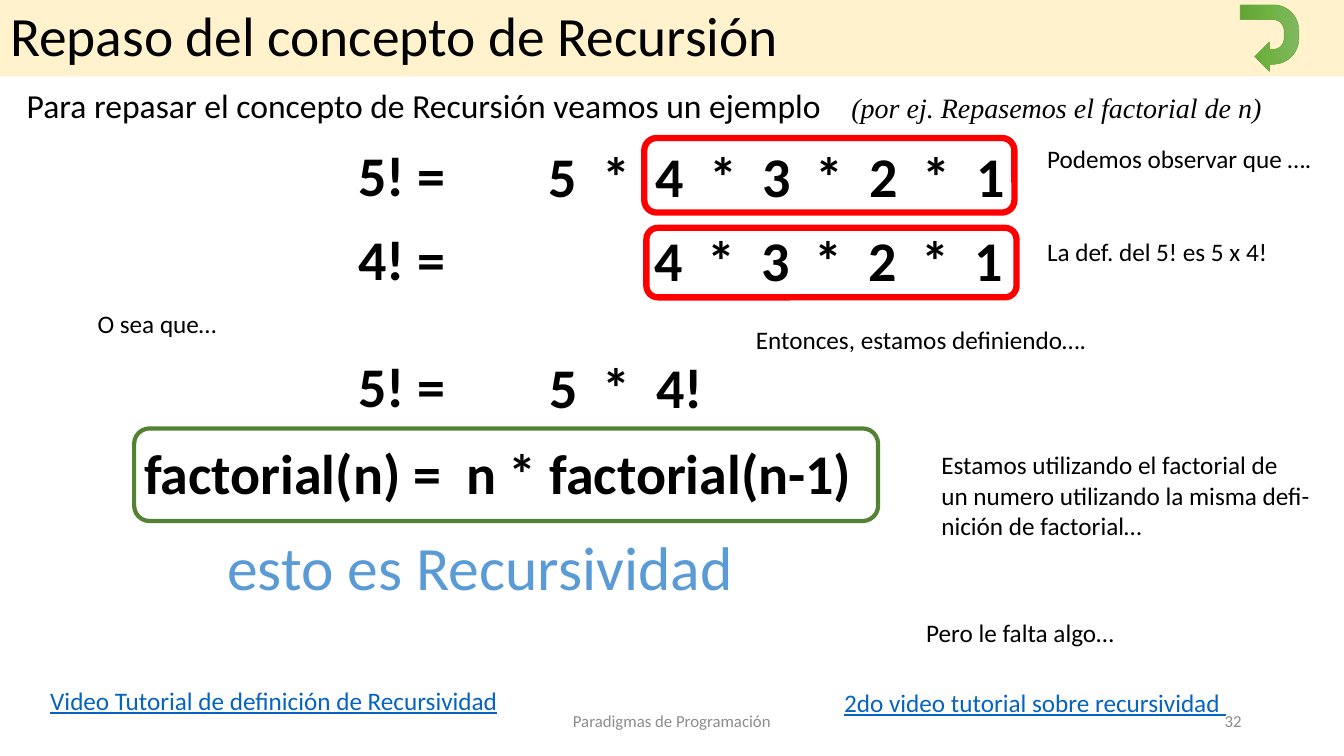
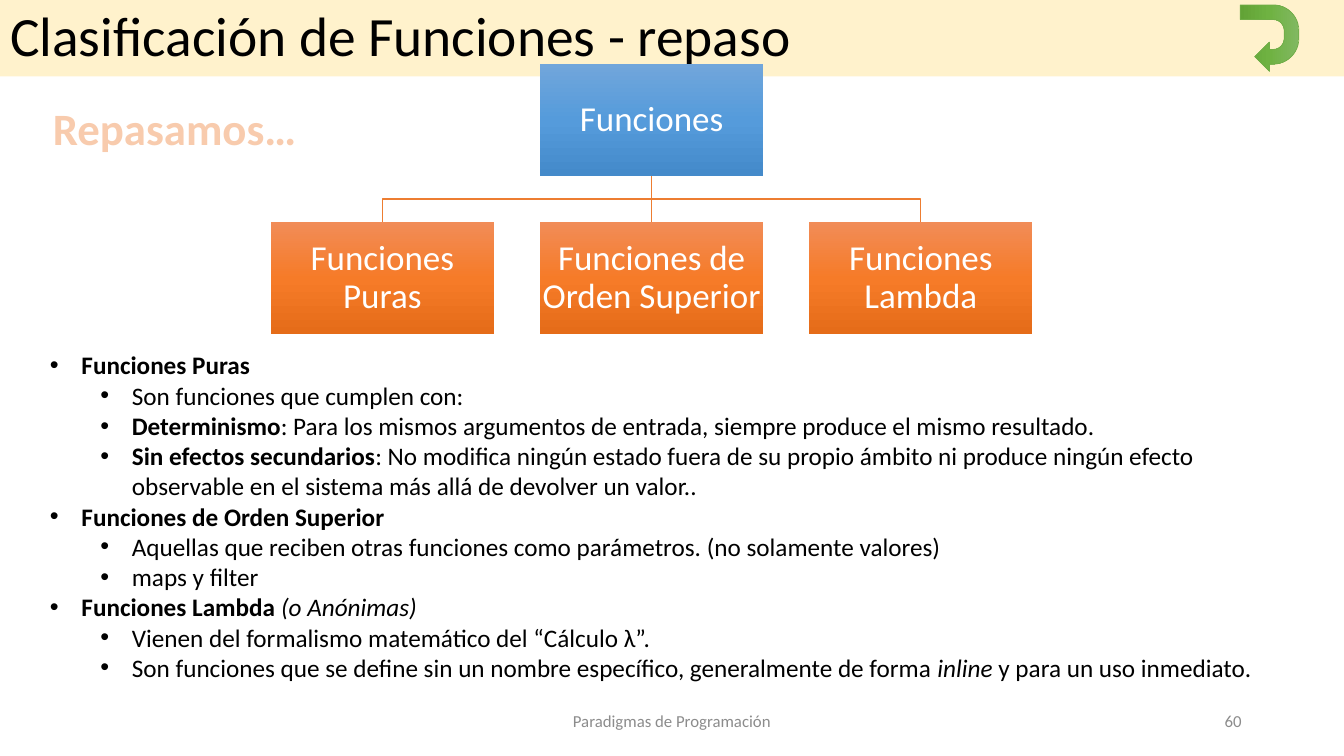
import copy
import dataclasses
import typing

import pptx
import pptx.dml.color
import pptx.enum.shapes
import pptx.enum.text
import pptx.oxml.ns
import pptx.slide
import pptx.util
from lxml import etree

Pt = pptx.util.Pt
qn = pptx.oxml.ns.qn
Form = pptx.enum.shapes.MSO_SHAPE
Side = pptx.enum.text.PP_ALIGN
Hold = pptx.enum.text.MSO_ANCHOR
Fit = pptx.enum.text.MSO_AUTO_SIZE

Run = tuple[str, dict[str, typing.Any]]
Box = tuple[float, float, float, float]

FACE = "Calibri"
BLACK, WHITE, GRAY = "000000", "FFFFFF", "8C8C8C"
CREAM, RED, MOSS, LINK = "FFF2CC", "FF0000", "548235", "0563C1"
SKY, PEACH, RUST, LEAF = "5B9BD5", "F8CBAD", "ED7D31", "70AD47"
BLUES = ("71A6DB", "559BDB", "448ACA")
WARMS = ("F18C57", "F67B28", "E56C19")
GREENS = ("81B861", "6FB242", "62A336")
BOLD = {"bold": True}
SLANT = {"italic": True}
NODE_W, NODE_H, STEP = 159.4, 79.6, 192.3
LEFT, TOP, LOW = 193.4, 46.1, 158.9


@dataclasses.dataclass
class Note:
    x: float
    y: float
    wide: float
    high: float
    lines: list[str]
    size: float = 18
    hue: str = BLACK
    font: dict[str, typing.Any] = dataclasses.field(default_factory=dict)
    side: int = Side.LEFT
    hold: int = Hold.TOP
    tab: float = 0


@dataclasses.dataclass
class Frame:
    box: Box
    hue: str
    width: float


@dataclasses.dataclass
class Node:
    text: str
    x: float
    y: float
    hues: tuple[str, str, str]


@dataclasses.dataclass
class Point:
    level: int
    runs: list[Run]


def put(item: typing.Any, vals: dict[str, typing.Any]) -> None:
    for key, val in vals.items():
        setattr(item, key, val)


def tint(code: str) -> pptx.dml.color.RGBColor:
    return pptx.dml.color.RGBColor.from_string(code)


def spot(box: Box) -> list[pptx.util.Length]:
    return [Pt(v) for v in box]


def place(item: typing.Any, box: Box) -> None:
    put(item, dict(zip(("left", "top", "width", "height"), spot(box))))


def write(para: typing.Any, runs: list[Run], size: float, hue: str) -> None:
    for text, style in runs:
        run = para.add_run()
        run.text = text
        put(run.font, {"name": FACE, "size": Pt(size), **style})
        run.font.color.rgb = tint(hue)


def stops(para: typing.Any, step: float, count: int) -> None:
    tabs = etree.SubElement(para._p.get_or_add_pPr(), qn("a:tabLst"))
    for k in range(1, count + 1):
        etree.SubElement(tabs, qn("a:tab"), pos=str(Pt(step * k)), algn="l")


def blend(shape: typing.Any, hues: tuple[str, str, str]) -> None:
    shape.fill.gradient()
    shape.fill.gradient_angle = 270
    marks = shape.element.spPr.find(".//" + qn("a:gsLst"))
    marks.insert(1, copy.deepcopy(marks[0]))
    for k, mark in enumerate(shape.fill.gradient_stops):
        mark.position = k / 2
        mark.color.rgb = tint(hues[k])


def form(page: pptx.slide.Slide, kind: int, box: Box) -> typing.Any:
    shape = page.shapes.add_shape(kind, *spot(box))
    shape.shadow.inherit = False
    return shape


def stroke(shape: typing.Any, hue: str, width: float) -> None:
    shape.line.color.rgb = tint(hue)
    shape.line.width = Pt(width)


def label(page: pptx.slide.Slide, note: Note) -> None:
    box = (note.x, note.y, note.wide, note.high)
    frame = page.shapes.add_textbox(*spot(box)).text_frame
    put(frame, {"word_wrap": True, "vertical_anchor": note.hold})
    for k, line in enumerate(note.lines):
        para = frame.add_paragraph() if k else frame.paragraphs[0]
        para.alignment = note.side
        if note.tab:
            stops(para, note.tab, line.count("\t"))
        write(para, [(line, note.font)], note.size, note.hue)


def ring(page: pptx.slide.Slide, frame: Frame) -> None:
    shape = form(page, Form.ROUNDED_RECTANGLE, frame.box)
    shape.fill.background()
    stroke(shape, frame.hue, frame.width)


def node(page: pptx.slide.Slide, item: Node) -> None:
    shape = form(page, Form.RECTANGLE, (item.x, item.y, NODE_W, NODE_H))
    blend(shape, item.hues)
    shape.line.fill.background()
    pad = Pt(1.4)
    frame = shape.text_frame
    put(frame, {"word_wrap": True, "vertical_anchor": Hold.MIDDLE,
                "margin_left": pad, "margin_right": pad,
                "margin_top": pad, "margin_bottom": pad})
    para = frame.paragraphs[0]
    put(para, {"alignment": Side.CENTER, "line_spacing": 0.9})
    write(para, [(item.text, {})], 25, WHITE)


def stem(page: pptx.slide.Slide, ends: Box) -> None:
    kind = pptx.enum.shapes.MSO_CONNECTOR.STRAIGHT
    line = page.shapes.add_connector(kind, *spot(ends))
    stroke(line, RUST, 1)
    etree.SubElement(line._element.spPr, qn("a:effectLst"))


def elbow(page: pptx.slide.Slide, ends: Box) -> None:
    x, y, far, low = spot(ends)
    bend = (y + low) // 2
    pen = page.shapes.build_freeform(x, y)
    pen.add_line_segments([(x, bend), (far, bend), (far, low)], close=False)
    shape = pen.convert_to_shape()
    shape.shadow.inherit = False
    shape.fill.background()
    stroke(shape, RUST, 1)


def bullets(page: pptx.slide.Slide, box: Box, points: list[Point]) -> None:
    body = page.placeholders[1]
    place(body, box)
    frame = body.text_frame
    put(frame, {"auto_size": Fit.NONE, "vertical_anchor": Hold.TOP})
    for k, point in enumerate(points):
        para = frame.add_paragraph() if k else frame.paragraphs[0]
        put(para, {"level": point.level, "line_spacing": 1.0,
                   "space_before": Pt(0), "alignment": Side.LEFT})
        props = para._p.get_or_add_pPr()
        props.set("marL", str(Pt(22.5 + 36 * point.level)))
        props.set("indent", str(Pt(-22.5)))
        etree.SubElement(props, qn("a:buChar"), char="•")
        write(para, point.runs, 18, BLACK)


def start(deck: typing.Any, lay: int, head: str, num: str) -> pptx.slide.Slide:
    page = deck.slides.add_slide(deck.slide_layouts[lay])
    title = page.shapes.title
    place(title, (0, 0, 960, 54.5))
    title.fill.solid()
    title.fill.fore_color.rgb = tint(CREAM)
    put(title.text_frame, {"auto_size": Fit.NONE,
                           "vertical_anchor": Hold.MIDDLE})
    para = title.text_frame.paragraphs[0]
    put(para, {"alignment": Side.LEFT, "line_spacing": 0.9})
    write(para, [(head, {})], 39.6, BLACK)
    for x, wide, text, side in (
            (318, 324, "Paradigmas de Programación", Side.CENTER),
            (678, 216, num, Side.RIGHT)):
        label(page, Note(x, 500.5, wide, 28.8, [text], 12, GRAY,
                         side=side, hold=Hold.MIDDLE))
    arrow = form(page, Form.U_TURN_ARROW, (883.1, 6.4, 47.5, 41.8))
    arrow.rotation = 90
    blend(arrow, GREENS)
    stroke(arrow, LEAF, 0.5)
    return page


def review(deck: typing.Any) -> None:
    page = start(deck, 5, "Repaso del concepto de Recursión", "32")
    intro = page.shapes.add_textbox(*spot((12, 57, 924, 36))).text_frame
    intro.word_wrap = True
    para = intro.paragraphs[0]
    stops(para, 589, 1)
    write(para, [
        ("Para repasar el concepto de Recursión veamos un ejemplo\t", {}),
        ("(por ej. Repasemos el factorial de n)",
         {"name": "Times New Roman", "size": Pt(20), **SLANT}),
    ], 24, BLACK)

    for x, y, wide, text, tab in (
            (249, 97.2, 90, "5! =", 0),
            (385, 97.5, 380, "5\t*\t4\t*\t3\t*\t2\t*\t1", 38.15),
            (249, 157, 90, "4! =", 0),
            (460.4, 157.7, 310, "4\t*\t3\t*\t2\t*\t1", 38.15),
            (249, 247.7, 90, "5! =", 0),
            (385.3, 248.4, 163, "5\t*\t4!", 38.2),
            (95.8, 309.6, 585, "factorial(n) =\tn * factorial(n-1)", 230.2)):
        label(page, Note(x, y, wide, 55.4, [text], 40, font=BOLD, tab=tab))

    for frame in (Frame((460.2, 98.6, 264.4, 53.3), RED, 4.5),
                  Frame((461.7, 162.7, 264.4, 49.7), RED, 4.5),
                  Frame((95.8, 306, 531.4, 66.2), MOSS, 3)):
        ring(page, frame)

    under = {"underline": True}
    for note in (
            Note(740.9, 99, 215, 29, ["Podemos observar que …."]),
            Note(740.9, 165.2, 190, 29, ["La def. del 5! es 5 x 4!"]),
            Note(62.6, 217, 110, 29, ["O sea que…"]),
            Note(532.8, 228.2, 265, 29, ["Entonces, estamos definiendo…."]),
            Note(665.3, 317.7, 290, 73, [
                "Estamos utilizando el factorial de",
                "un numero utilizando la misma defi-",
                "nición de factorial…"]),
            Note(654.5, 437.4, 165, 29, ["Pero le falta algo…"]),
            Note(143, 374.4, 400, 60.5, ["esto es Recursividad"], 44, SKY,
                 side=Side.CENTER),
            Note(28.8, 486, 360, 29,
                 ["Video Tutorial de definición de Recursividad"],
                 hue=LINK, font=under),
            Note(595.9, 487.4, 300, 29,
                 ["2do video tutorial sobre recursividad "],
                 hue=LINK, font=under)):
        label(page, note)


def classes(deck: typing.Any) -> None:
    page = start(deck, 1, "Clasificación de Funciones - repaso", "60")
    bullets(page, (28.5, 246.2, 895, 247), [
        Point(0, [("Funciones Puras", BOLD)]),
        Point(1, [("Son funciones que cumplen con:", {})]),
        Point(1, [("Determinismo", BOLD),
                  (": Para los mismos argumentos de entrada, siempre "
                   "produce el mismo resultado.", {})]),
        Point(1, [("Sin efectos secundarios", BOLD),
                  (": No modifica ningún estado fuera de su propio ámbito "
                   "ni produce ningún efecto observable en el sistema más "
                   "allá de devolver un valor..", {})]),
        Point(0, [("Funciones de Orden Superior", BOLD)]),
        Point(1, [("Aquellas que reciben otras funciones como parámetros. "
                   "(no solamente valores)", {})]),
        Point(1, [("maps y filter", {})]),
        Point(0, [("Funciones Lambda ", BOLD), ("(o Anónimas)", SLANT)]),
        Point(1, [("Vienen del formalismo matemático del “Cálculo λ”.", {})]),
        Point(1, [("Son funciones que se define sin un nombre específico, "
                   "generalmente de forma ", {}),
                  ("inline", SLANT), (" y para un uso inmediato.", {})]),
    ])

    first, mid, last = (LEFT + NODE_W / 2 + STEP * k for k in range(3))
    base = TOP + NODE_H
    elbow(page, (mid, base, last, LOW))
    stem(page, (mid, base, mid, LOW))
    elbow(page, (mid, base, first, LOW))
    node(page, Node("Funciones", LEFT + STEP, TOP, BLUES))
    for k, kind in enumerate(("Puras", "de Orden Superior", "Lambda")):
        node(page, Node(f"Funciones {kind}", LEFT + STEP * k, LOW, WARMS))
    label(page, Note(29.8, 68.4, 190, 46, ["Repasamos…"], 32, PEACH, BOLD,
                     side=Side.CENTER))


def main() -> None:
    deck = pptx.Presentation()
    put(deck, {"slide_width": Pt(960), "slide_height": Pt(540)})
    review(deck)
    classes(deck)
    deck.save("out.pptx")


if __name__ == "__main__":
    main()
